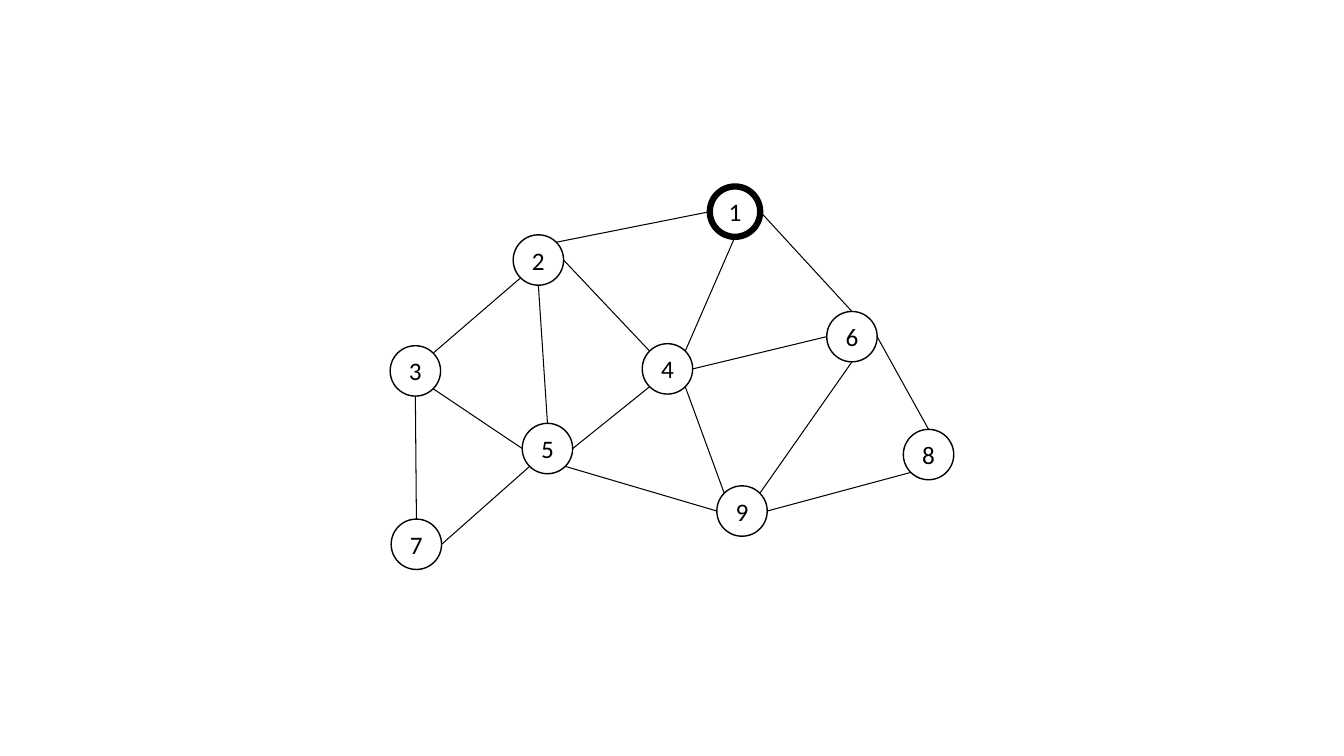
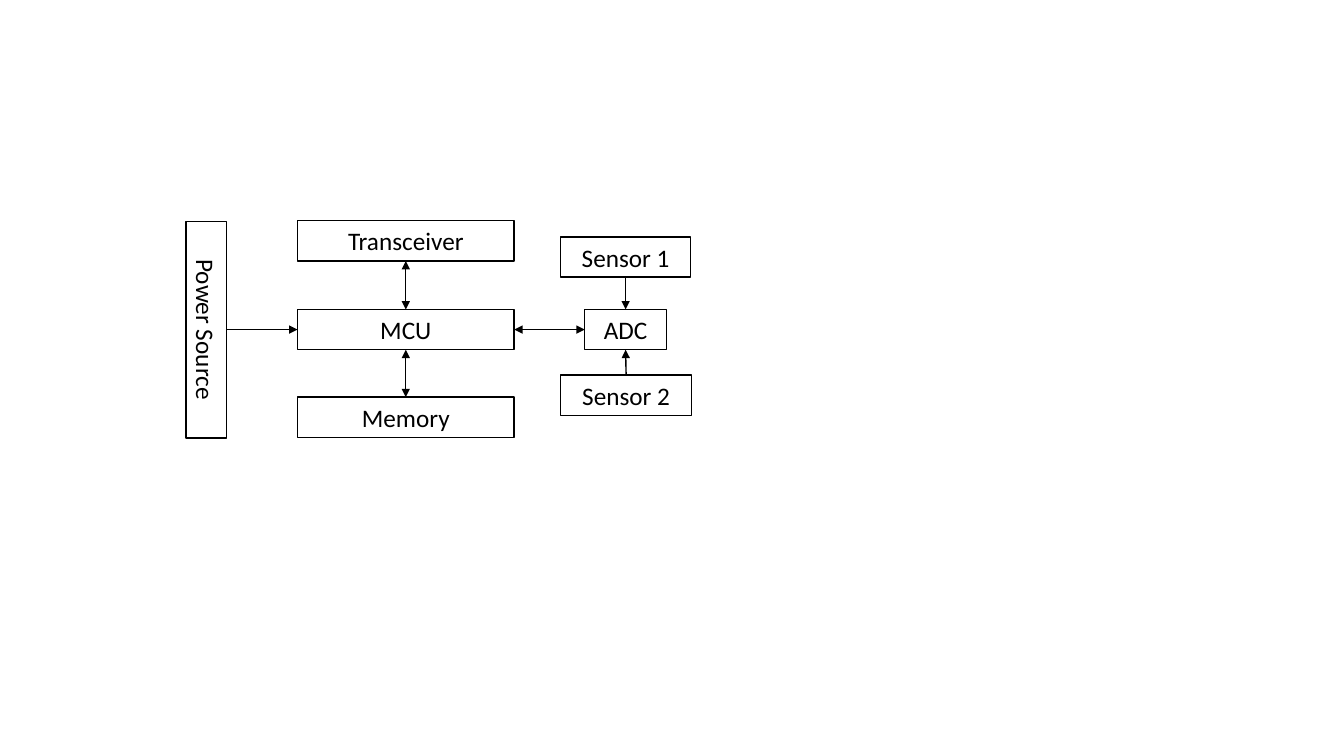
from dataclasses import dataclass
from math import cos, radians, sin

from lxml.etree import SubElement
from pptx import Presentation
from pptx.dml.color import RGBColor
from pptx.enum.shapes import MSO_CONNECTOR, MSO_SHAPE
from pptx.enum.text import MSO_ANCHOR, PP_ALIGN
from pptx.oxml.ns import qn
from pptx.util import Inches, Pt


@dataclass(frozen=True)
class Theme:
    font: str = "Calibri"
    ink: RGBColor = RGBColor(0, 0, 0)
    paper: RGBColor = RGBColor(255, 255, 255)
    text_size: float = 18
    outline: float = 1
    edge: float = 0.75
    root_outline: float = 4.5


THEME = Theme()
SITES = ("top", "top left", "left", "bottom left", "bottom", "bottom right", "right", "top right")

NODE_SIZE = 0.5
ROOT = "1"
NODES = {
    "1": (7.04, 1.85),
    "4": (6.37, 3.41),
    "3": (3.87, 3.43),
    "7": (3.88, 5.15),
    "5": (5.18, 4.2),
    "6": (8.2, 3.09),
    "9": (7.11, 4.82),
    "8": (8.96, 4.26),
    "2": (5.09, 2.33),
}
EDGES = [
    ("2", "top right", "1", "left"),
    ("2", "bottom left", "3", "top right"),
    ("3", "bottom", "7", "top"),
    ("2", "bottom", "5", "top"),
    ("3", "bottom right", "5", "left"),
    ("2", "right", "4", "top left"),
    ("1", "bottom", "4", "top right"),
    ("1", "right", "6", "top"),
    ("4", "right", "6", "left"),
    ("5", "right", "4", "bottom left"),
    ("4", "bottom right", "9", "top left"),
    ("9", "top right", "6", "bottom"),
    ("6", "right", "8", "top"),
    ("9", "right", "8", "bottom left"),
    ("9", "left", "5", "bottom right"),
    ("7", "right", "5", "bottom left"),
]

BLOCK_HEIGHT = 0.4
BLOCK_WIDTH = 2.15
BLOCKS = {
    "Power Source": (0.97, 3.07, BLOCK_WIDTH, 90),
    "MCU": (2.95, 3.07, BLOCK_WIDTH, 0),
    "Transceiver": (2.95, 2.19, BLOCK_WIDTH, 0),
    "ADC": (5.8, 3.07, 0.81, 0),
    "Sensor 1": (5.56, 2.35, 1.29, 0),
    "Sensor 2": (5.56, 3.72, 1.3, 0),
    "Memory": (2.95, 3.94, BLOCK_WIDTH, 0),
}
ONE_WAY = ("tailEnd",)
TWO_WAY = ("headEnd", "tailEnd")
LINKS = [
    ("Sensor 1", "bottom", "ADC", "top", ONE_WAY),
    ("Sensor 2", "top", "ADC", "bottom", ONE_WAY),
    ("MCU", "right", "ADC", "left", TWO_WAY),
    ("Transceiver", "bottom", "MCU", "top", TWO_WAY),
    ("MCU", "bottom", "Memory", "top", TWO_WAY),
    ("Power Source", "top", "MCU", "left", ONE_WAY),
]


def add_label_shape(shapes, kind, label, left, top, width, height, outline=THEME.outline):
    shape = shapes.add_shape(kind, Inches(left), Inches(top), Inches(width), Inches(height))
    shape.shadow.inherit = False
    shape.fill.solid()
    shape.fill.fore_color.rgb = THEME.paper
    shape.line.color.rgb = THEME.ink
    shape.line.width = Pt(outline)
    shape.text_frame.vertical_anchor = MSO_ANCHOR.MIDDLE
    paragraph = shape.text_frame.paragraphs[0]
    paragraph.alignment = PP_ALIGN.CENTER
    run = paragraph.add_run()
    run.text = label
    run.font.name = THEME.font
    run.font.size = Pt(THEME.text_size)
    run.font.color.rgb = THEME.ink
    return shape


def site_point(shape, site):
    angle = radians(90 + 45 * SITES.index(site))
    across = shape.width / 2 * cos(angle)
    down = -shape.height / 2 * sin(angle)
    turn = radians(shape.rotation)
    x = shape.left + shape.width / 2 + across * cos(turn) - down * sin(turn)
    y = shape.top + shape.height / 2 + across * sin(turn) + down * cos(turn)
    return round(x), round(y)


def connect(shapes, start, start_site, end, end_site, width, arrows=()):
    connector = shapes.add_connector(
        MSO_CONNECTOR.STRAIGHT, *site_point(start, start_site), *site_point(end, end_site)
    )
    connector.line.color.rgb = THEME.ink
    connector.line.width = Pt(width)
    properties = connector.element.spPr
    line = properties.find(qn("a:ln"))
    for arrow in arrows:
        SubElement(line, qn(f"a:{arrow}"), type="triangle")
    SubElement(properties, qn("a:effectLst"))
    joints = connector.element.find(qn("p:nvCxnSpPr")).find(qn("p:cNvCxnSpPr"))
    for tag, shape, site in (("a:stCxn", start, start_site), ("a:endCxn", end, end_site)):
        step = 1 if shape.auto_shape_type == MSO_SHAPE.OVAL else 2
        SubElement(joints, qn(tag), id=str(shape.shape_id), idx=str(SITES.index(site) // step))


def build_network(slide):
    shapes = slide.shapes.add_group_shape().shapes
    nodes = {}
    for label, (left, top) in NODES.items():
        outline = THEME.root_outline if label == ROOT else THEME.outline
        node = add_label_shape(
            shapes, MSO_SHAPE.OVAL, label, left, top, NODE_SIZE, NODE_SIZE, outline
        )
        frame = node.text_frame
        frame.margin_left = frame.margin_right = frame.margin_top = frame.margin_bottom = 0
        nodes[label] = node
    for start, start_site, end, end_site in EDGES:
        connect(shapes, nodes[start], start_site, nodes[end], end_site, THEME.edge)


def build_sensor_node(slide):
    blocks = {}
    for label, (left, top, width, rotation) in BLOCKS.items():
        block = add_label_shape(
            slide.shapes, MSO_SHAPE.RECTANGLE, label, left, top, width, BLOCK_HEIGHT
        )
        block.rotation = rotation
        blocks[label] = block
    for start, start_site, end, end_site, arrows in LINKS:
        connect(
            slide.shapes, blocks[start], start_site, blocks[end], end_site, THEME.outline, arrows
        )


presentation = Presentation()
presentation.slide_width = Inches(13.33)
presentation.slide_height = Inches(7.5)
blank_layout = presentation.slide_layouts[6]
for build in (build_network, build_sensor_node):
    build(presentation.slides.add_slide(blank_layout))
presentation.save("out.pptx")
